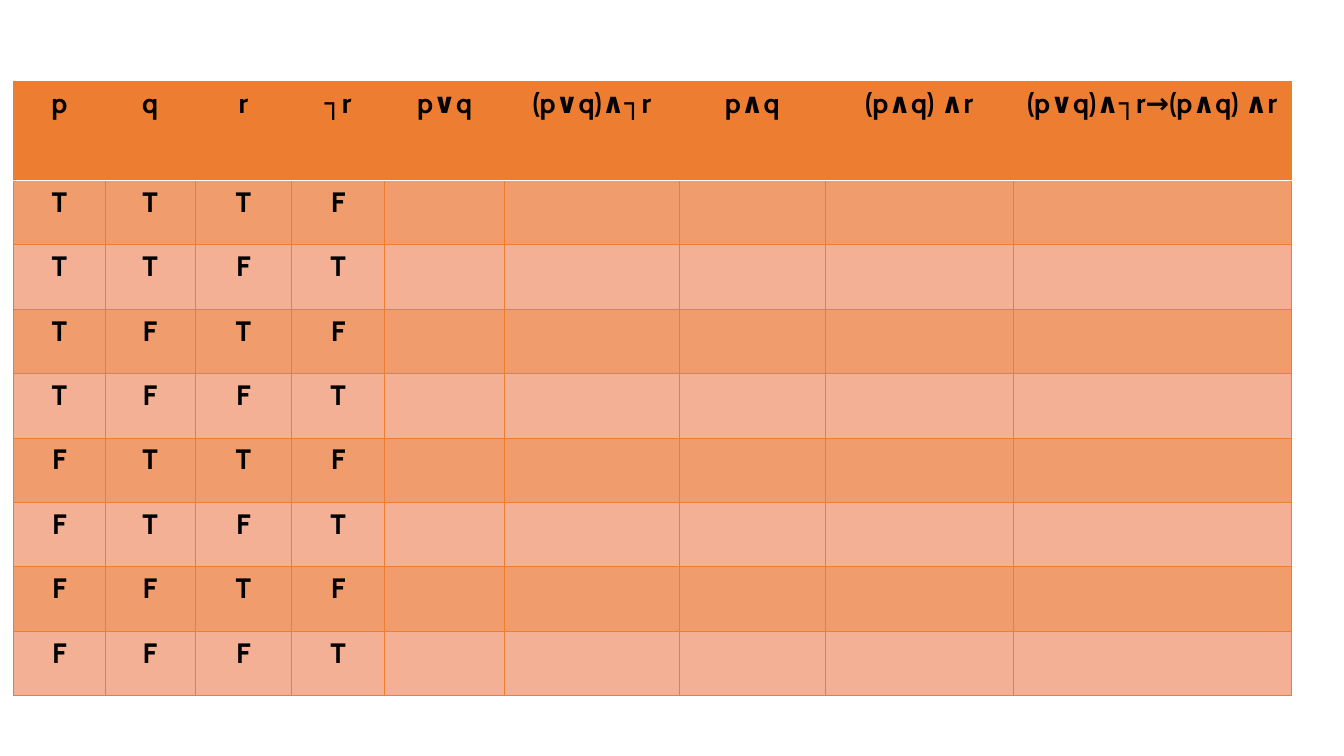
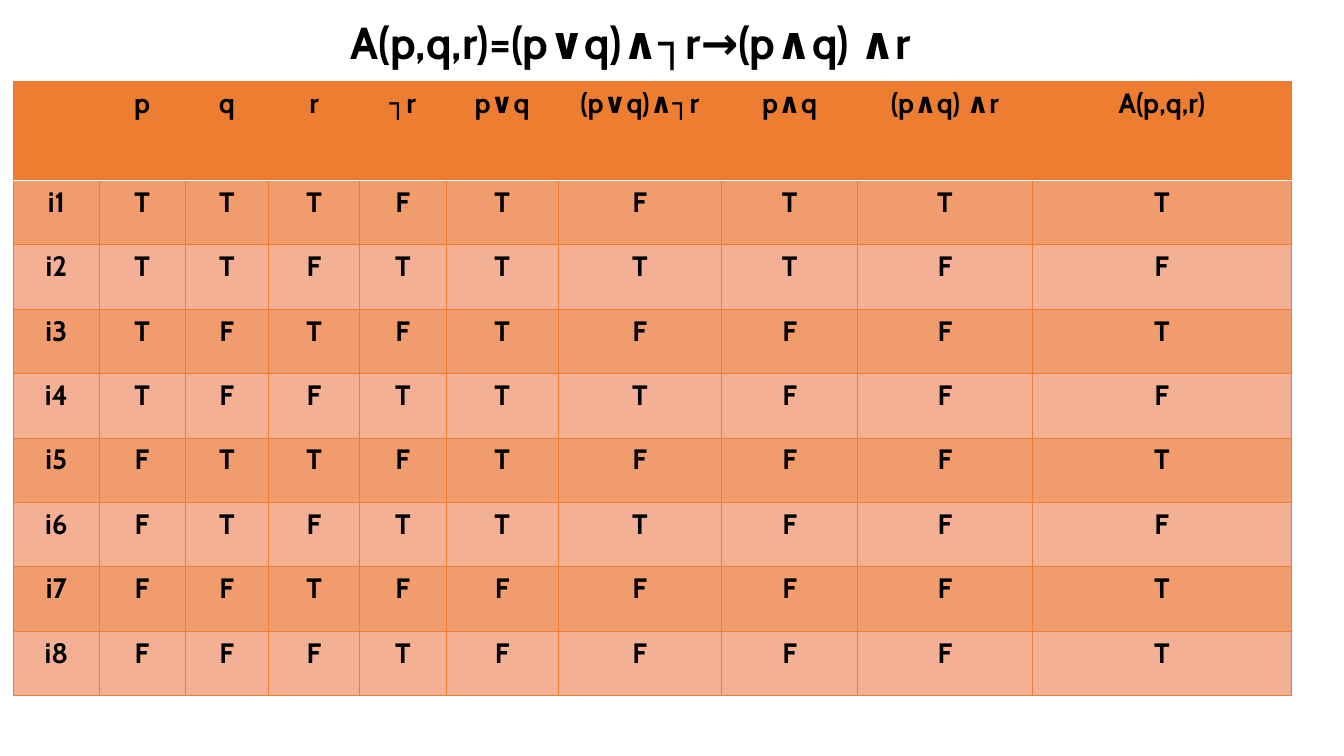
from dataclasses import dataclass
from itertools import product

from lxml.etree import SubElement
from pptx import Presentation
from pptx.dml.color import RGBColor
from pptx.enum.text import MSO_AUTO_SIZE, PP_ALIGN
from pptx.oxml.ns import qn
from pptx.util import Inches, Pt


@dataclass(frozen=True)
class Theme:
    font: str = "Cabin"
    text: str = "000000"
    accent: str = "ED7D31"
    rule: str = "FFFFFF"
    bands: tuple = ("F19C6D", "F4B094")
    title_size: int = 32
    cell_size: int = 20
    border: float = 0.5
    rule_width: float = 1


class Deck:
    def __init__(self, theme):
        self.theme = theme
        self.prs = Presentation()
        self.prs.slide_width = Inches(13.33)
        self.prs.slide_height = Inches(7.5)
        self.slide = None

    def add_slide(self):
        self.slide = self.prs.slides.add_slide(self.prs.slide_layouts[6])

    def x(self, percent):
        return round(self.prs.slide_width * percent / 100)

    def y(self, percent):
        return round(self.prs.slide_height * percent / 100)

    def add_text(self, tf, text, size):
        p = tf.paragraphs[0]
        p.alignment = PP_ALIGN.CENTER
        r = p.add_run()
        r.text = text
        r.font.name = self.theme.font
        r.font.size = Pt(size)
        r.font.bold = True
        r.font.color.rgb = RGBColor.from_string(self.theme.text)

    def title(self, text):
        sp = self.slide.shapes.add_textbox(
            self.x(21.68), self.y(1.33), self.x(50.56), self.y(8.53))
        tf = sp.text_frame
        tf.word_wrap = True
        tf.auto_size = MSO_AUTO_SIZE.SHAPE_TO_FIT_TEXT
        self.add_text(tf, text, self.theme.title_size)

    def border(self, cell, side, color, width):
        ln = SubElement(cell._tc.get_or_add_tcPr(), qn(f"a:ln{side}"), w=str(Pt(width)))
        fill = SubElement(ln, qn("a:solidFill"))
        SubElement(fill, qn("a:srgbClr"), val=color)

    def style_cell(self, cell, row):
        th = self.theme
        for side in "LRTB":
            under_header = (row, side) in ((0, "B"), (1, "T"))
            color, width = (th.rule, th.rule_width) if under_header else (th.accent, th.border)
            self.border(cell, side, color, width)
        cell.fill.solid()
        color = th.bands[(row - 1) % 2] if row else th.accent
        cell.fill.fore_color.rgb = RGBColor.from_string(color)

    def table(self, columns, body):
        headers, weights = zip(*columns)
        rows = [headers, *body]
        width, height, header_height = self.x(95.1), self.y(81.2), self.y(13.07)
        table = self.slide.shapes.add_table(
            len(rows), len(headers), self.x(1), self.y(10.8), width, height).table
        for column, weight in zip(table.columns, weights):
            column.width = round(width * weight / sum(weights))
        for i, values in enumerate(rows):
            table.rows[i].height = (height - header_height) // len(body) if i else header_height
            for j, value in enumerate(values):
                cell = table.cell(i, j)
                self.style_cell(cell, i)
                if value:
                    self.add_text(cell.text_frame, value, self.theme.cell_size)


def truth_row(p, q, r):
    left = (p or q) and not r
    right = p and q and r
    values = (p, q, r, not r, p or q, left, p and q, right, not left or right)
    return ["T" if value else "F" for value in values]


def main():
    formula = "(p∨q)∧┐r→(p∧q) ∧r"
    name = "A(p,q,r)"
    terms = ["p", "q", "r", "┐r", "p∨q", "(p∨q)∧┐r", "p∧q", "(p∧q) ∧r"]
    truths = [truth_row(*values) for values in product((True, False), repeat=3)]
    given = 4

    deck = Deck(Theme())
    deck.add_slide()
    weights = [0.91, 0.89, 0.96, 0.92, 1.19, 1.73, 1.45, 1.86, 2.76]
    blanks = [""] * (len(weights) - given)
    deck.table(list(zip([*terms, formula], weights)),
               [row[:given] + blanks for row in truths])

    deck.add_slide()
    weights = [0.85, 0.85, 0.83, 0.9, 0.86, 1.11, 1.62, 1.35, 1.73, 2.57]
    deck.table(list(zip(["", *terms, name], weights)),
               [[f"i{n}", *row] for n, row in enumerate(truths, 1)])
    deck.title(f"{name}={formula}")
    deck.prs.save("out.pptx")


if __name__ == "__main__":
    main()
